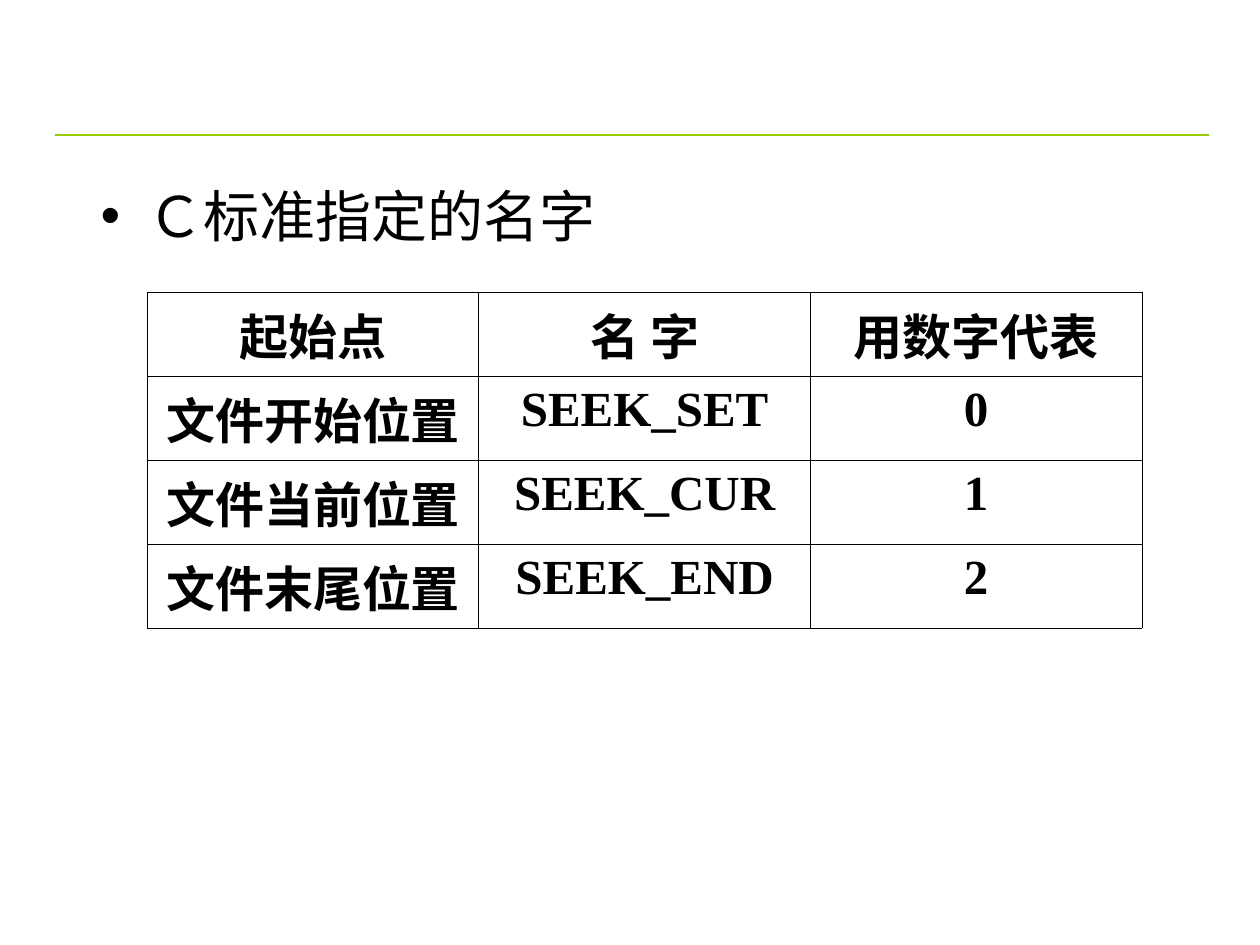
from lxml import etree
from pptx import Presentation
from pptx.dml.color import RGBColor
from pptx.enum.shapes import MSO_CONNECTOR as Connector
from pptx.enum.text import MSO_ANCHOR as Anchor, PP_ALIGN as Align
from pptx.oxml.ns import qn
from pptx.util import Cm, Pt

BLACK, GREEN = "000000", "99CC00"
SEEK_ROWS = [
    ("起始点", "名 字", "用数字代表"),
    ("文件开始位置", "SEEK_SET", "0"),
    ("文件当前位置", "SEEK_CUR", "1"),
    ("文件末尾位置", "SEEK_END", "2"),
]


def color(hex_string):
    return RGBColor.from_string(hex_string)


def style_font(para, name, size, bold=False):
    for span in para.runs:
        font = span.font
        font.name, font.size, font.bold = name, Pt(size), bold
        font.color.rgb = color(BLACK)


def add_header_rule(page, left, top, width):
    rule = page.shapes.add_connector(
        Connector.STRAIGHT, Cm(left), Cm(top), Cm(left + width), Cm(top))
    rule.line.color.rgb = color(GREEN)
    rule.line.width = Pt(1.5)
    etree.SubElement(rule._element.spPr, qn("a:effectLst"))


def add_bullet_line(page, left, top, width, height, text):
    box = page.shapes.add_textbox(Cm(left), Cm(top), Cm(width), Cm(height))
    frame = box.text_frame
    frame.word_wrap = True
    frame.text = text
    para = frame.paragraphs[0]
    properties = para._p.get_or_add_pPr()
    properties.set("marL", str(Cm(0.95)))
    properties.set("indent", str(Cm(-0.95)))
    etree.SubElement(properties, qn("a:buFont"), typeface="Arial")
    etree.SubElement(properties, qn("a:buChar"), char="•")
    style_font(para, "Arial", 32)


def add_cell_borders(cell):
    """Draw a thin black line on all four sides; call before setting the fill."""
    properties = cell._tc.get_or_add_tcPr()
    for side in ("lnL", "lnR", "lnT", "lnB"):
        line = etree.SubElement(properties, qn(f"a:{side}"), w=str(Pt(0.45)))
        fill = etree.SubElement(line, qn("a:solidFill"))
        etree.SubElement(fill, qn("a:srgbClr"), val=BLACK)


def fill_cell(cell, text):
    add_cell_borders(cell)
    cell.fill.background()
    cell.margin_left = cell.margin_right = Cm(0.2)
    cell.margin_top = cell.margin_bottom = Cm(0.13)
    cell.vertical_anchor = Anchor.TOP
    cell.text_frame.text = text
    para = cell.text_frame.paragraphs[0]
    para.alignment = Align.CENTER
    style_font(para, "Times New Roman", 28, bold=True)


def add_seek_table(page, left, top, width, height, rows):
    table = page.shapes.add_table(
        len(rows), len(rows[0]), Cm(left), Cm(top), Cm(width), Cm(height)).table
    table.first_row = table.horz_banding = False
    for row_index, row in enumerate(rows):
        for column_index, text in enumerate(row):
            fill_cell(table.cell(row_index, column_index), text)


def main():
    deck = Presentation()
    deck.slide_width, deck.slide_height = Cm(25.4), Cm(19.05)
    page = deck.slides.add_slide(deck.slide_layouts[6])
    add_header_rule(page, 1.1, 2.72, 23.28)
    add_bullet_line(page, 1.78, 3.53, 22.63, 2.18, "Ｃ标准指定的名字")
    add_seek_table(page, 2.97, 5.9, 20.05, 6.76, SEEK_ROWS)
    deck.save("out.pptx")


if __name__ == "__main__":
    main()
